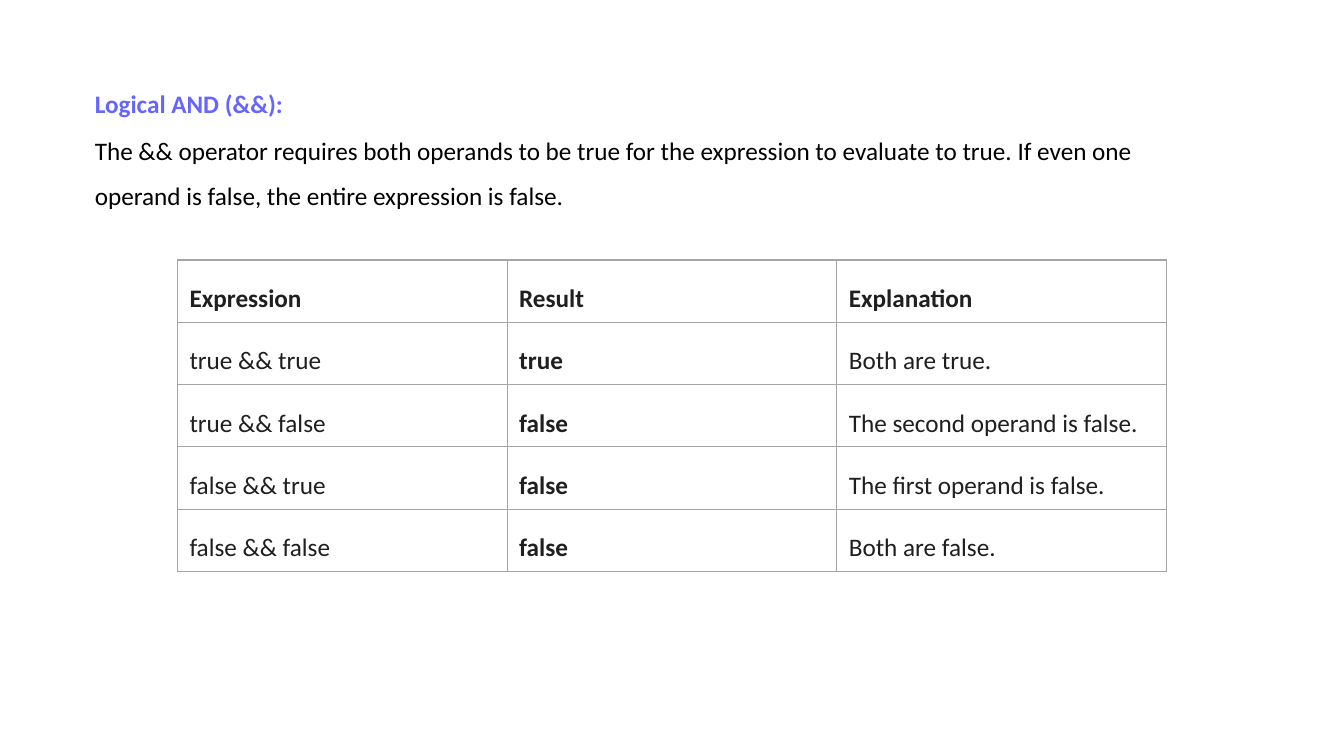
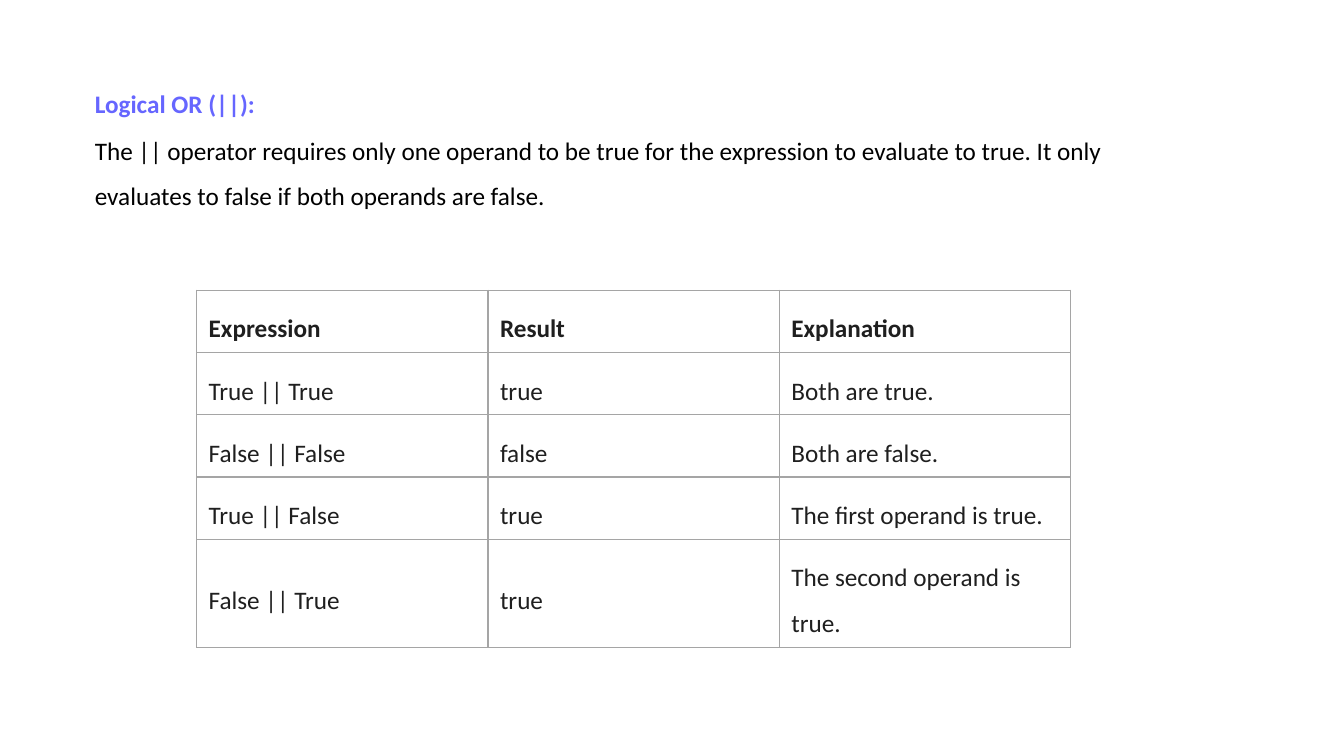
from dataclasses import dataclass

from lxml import etree
from pptx import Presentation
from pptx.dml.color import RGBColor
from pptx.enum.text import MSO_ANCHOR, MSO_AUTO_SIZE, PP_ALIGN
from pptx.oxml.ns import qn
from pptx.util import Inches, Pt

LEFT = PP_ALIGN.LEFT
TOP = MSO_ANCHOR.TOP
MIDDLE = MSO_ANCHOR.MIDDLE
NO_AUTOFIT = MSO_AUTO_SIZE.NONE
TITLE_AND_CONTENT = 1


# Shared look
@dataclass(frozen=True)
class Theme:
    font: str = "Calibri"
    size: int = 18
    line_spacing: float = 1.5
    heading: str = "6666FF"
    body: str = "000000"
    cell: str = "1F1F1F"
    border: str = "A5A5A5"
    border_width: float = 1


@dataclass(frozen=True)
class Box:
    left: float
    top: float
    width: float
    height: float


@dataclass(frozen=True)
class OperatorSlide:
    heading: str
    description: str
    table_left: float
    table_top: float
    column_width: float
    bold_results: bool
    rows: tuple[tuple[str, str, str], ...]


THEME = Theme()
HEADING_BOX = Box(0.84, 0.68, 10.88, 0.51)
DESCRIPTION_BOX = Box(0.84, 1.19, 10.88, 0.92)
HEADING_INSETS = {"margin_left": 0.1, "margin_right": 0.1, "margin_top": 0.05, "margin_bottom": 0}
DESCRIPTION_INSETS = {**HEADING_INSETS, "margin_top": 0}
CELL_INSETS = {"margin_left": 0.12, "margin_right": 0.12, "margin_top": 0.08, "margin_bottom": 0.08}
TABLE_HEADER = ("Expression", "Result", "Explanation")
RESULT_COLUMN = TABLE_HEADER.index("Result")
ROW_HEIGHT = 0.61

# Content
SLIDES = (
    OperatorSlide(
        "Logical AND (&&):",
        "The && operator requires both operands to be true for the expression to evaluate "
        "to true. If even one operand is false, the entire expression is false.",
        1.76, 2.58, 3.27, True,
        (
            ("true && true", "true", "Both are true."),
            ("true && false", "false", "The second operand is false."),
            ("false && true", "false", "The first operand is false."),
            ("false && false", "false", "Both are false."),
        ),
    ),
    OperatorSlide(
        "Logical OR (||):",
        "The || operator requires only one operand to be true for the expression to evaluate "
        "to true. It only evaluates to false if both operands are false.",
        1.95, 2.88, 2.89, False,
        (
            ("True || True", "true", "Both are true."),
            ("False || False", "false", "Both are false."),
            ("True || False", "true", "The first operand is true."),
            ("False || True", "true", "The second operand is true."),
        ),
    ),
)


def set_attributes(target, values: dict) -> None:
    for name, value in values.items():
        setattr(target, name, value)


def set_insets(target, insets: dict[str, float]) -> None:
    set_attributes(target, {name: Inches(value) for name, value in insets.items()})


def write_text(text_frame, text: str, color: str, bold: bool) -> None:
    paragraph = text_frame.paragraphs[0]
    set_attributes(paragraph, {
        "alignment": LEFT, "line_spacing": THEME.line_spacing,
        "space_before": Pt(0), "space_after": Pt(0),
    })
    run = paragraph.add_run()
    run.text = text
    set_attributes(run.font, {"name": THEME.font, "size": Pt(THEME.size), "bold": bold})
    run.font.color.rgb = RGBColor.from_string(color)


# Heading and description
def fill_placeholder(shape, box: Box, insets: dict[str, float], text: str,
                     color: str, bold: bool) -> None:
    set_attributes(shape, {
        "left": Inches(box.left), "top": Inches(box.top),
        "width": Inches(box.width), "height": Inches(box.height),
    })
    text_frame = shape.text_frame
    set_attributes(text_frame, {
        "word_wrap": True, "auto_size": NO_AUTOFIT, "vertical_anchor": TOP,
    })
    set_insets(text_frame, insets)
    write_text(text_frame, text, color, bold)


def remove_bullet(paragraph) -> None:
    properties = paragraph._p.get_or_add_pPr()
    properties.set("marL", "0")
    properties.set("indent", "0")
    etree.SubElement(properties, qn("a:buNone"))


# Truth table
def add_borders(cell) -> None:
    properties = cell._tc.get_or_add_tcPr()
    for side in ("lnL", "lnR", "lnT", "lnB"):
        line = etree.SubElement(properties, qn(f"a:{side}"), w=str(Pt(THEME.border_width)))
        fill = etree.SubElement(line, qn("a:solidFill"))
        etree.SubElement(fill, qn("a:srgbClr"), val=THEME.border)


def add_truth_table(slide, content: OperatorSlide) -> None:
    rows = (TABLE_HEADER, *content.rows)
    table = slide.shapes.add_table(
        len(rows), len(TABLE_HEADER),
        Inches(content.table_left), Inches(content.table_top),
        Inches(content.column_width * len(TABLE_HEADER)), Inches(ROW_HEIGHT * len(rows)),
    ).table
    set_attributes(table, {"first_row": False, "horz_banding": False})
    for column in table.columns:
        column.width = Inches(content.column_width)
    for row_index, row in enumerate(rows):
        table.rows[row_index].height = Inches(ROW_HEIGHT)
        for column_index, text in enumerate(row):
            cell = table.cell(row_index, column_index)
            bold = row_index == 0 or (content.bold_results and column_index == RESULT_COLUMN)
            add_borders(cell)
            cell.fill.background()
            cell.vertical_anchor = MIDDLE
            set_insets(cell, CELL_INSETS)
            write_text(cell.text_frame, text, THEME.cell, bold)


def add_operator_slide(presentation, content: OperatorSlide) -> None:
    slide = presentation.slides.add_slide(presentation.slide_layouts[TITLE_AND_CONTENT])
    description = slide.placeholders[1]
    fill_placeholder(slide.shapes.title, HEADING_BOX, HEADING_INSETS,
                     content.heading, THEME.heading, True)
    fill_placeholder(description, DESCRIPTION_BOX, DESCRIPTION_INSETS,
                     content.description, THEME.body, False)
    remove_bullet(description.text_frame.paragraphs[0])
    add_truth_table(slide, content)


def main() -> None:
    presentation = Presentation()
    presentation.slide_width = Inches(13.33)
    presentation.slide_height = Inches(7.5)
    for content in SLIDES:
        add_operator_slide(presentation, content)
    presentation.save("out.pptx")


if __name__ == "__main__":
    main()
